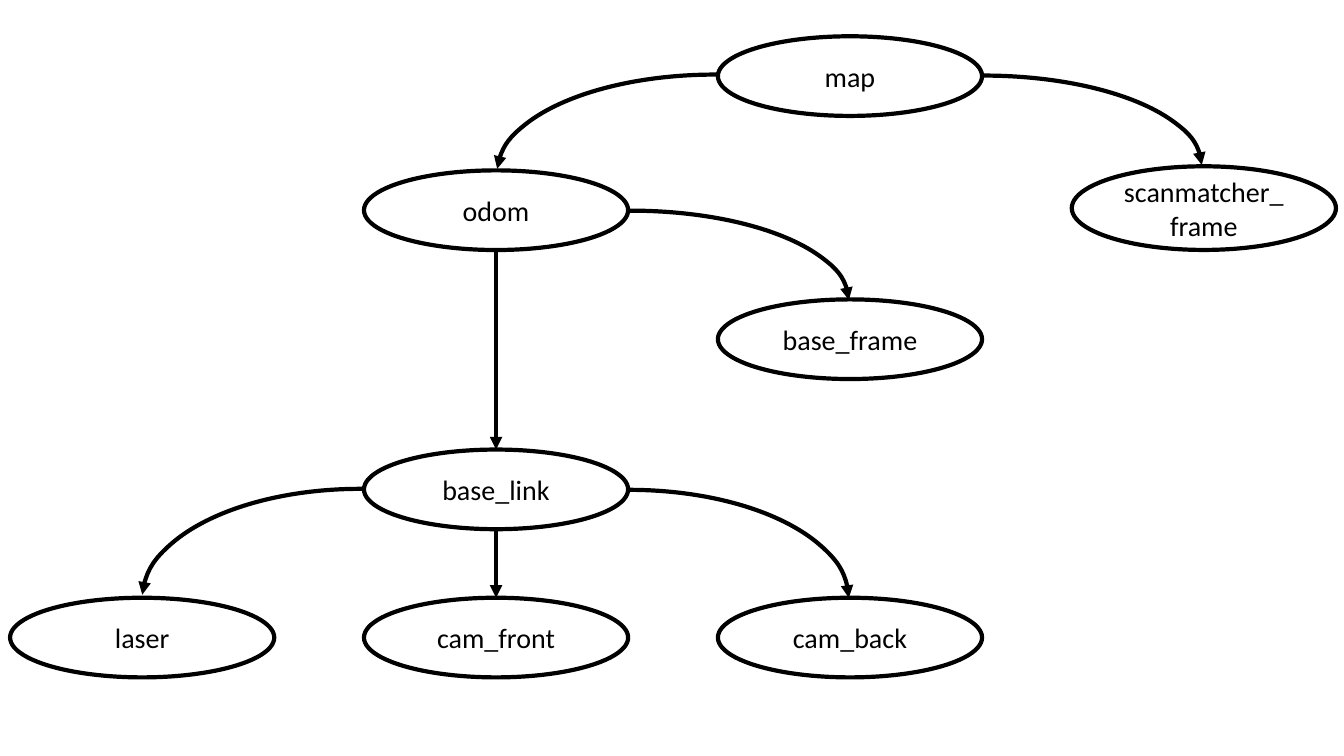
from dataclasses import dataclass

from lxml import etree
from pptx import Presentation
from pptx.dml.color import RGBColor
from pptx.enum.shapes import MSO_CONNECTOR, MSO_SHAPE
from pptx.enum.text import MSO_ANCHOR, PP_ALIGN
from pptx.oxml.ns import qn
from pptx.util import Pt

ELLIPSE = MSO_SHAPE.OVAL
ARC = MSO_SHAPE.ARC
STRAIGHT = MSO_CONNECTOR.STRAIGHT
MIDDLE = MSO_ANCHOR.MIDDLE
CENTER = PP_ALIGN.CENTER

EMU_PER_PX = 9144
SLIDE_SIZE = (1333, 750)
FIRST_COLUMN, COLUMN_STEP = 10, 351
FRAME_WIDTH, FRAME_HEIGHT = 262, 79


@dataclass(frozen=True)
class Theme:
    ink: RGBColor = RGBColor(0, 0, 0)
    font: str = "Calibri"
    label_size: Pt = Pt(20)
    stroke: Pt = Pt(3)


THEME = Theme()

FRAMES = [
    ("map", 2, 36, FRAME_HEIGHT),
    ("scanmatcher_frame", 3, 165, 83),
    ("odom", 1, 169, FRAME_HEIGHT),
    ("base_frame", 2, 297, FRAME_HEIGHT),
    ("base_link", 1, 446, FRAME_HEIGHT),
    ("laser", 0, 593, FRAME_HEIGHT),
    ("cam_front", 1, 593, FRAME_HEIGHT),
    ("cam_back", 2, 593, FRAME_HEIGHT),
]

RIGHT_SWEEP = (161.685, 215.792)
LEFT_SWEEP = (108.643, 162.78)
BRANCHES = [
    ((759, 75, 433, 180), RIGHT_SWEEP, "tailEnd"),
    ((493, 74, 432, 195), LEFT_SWEEP, "headEnd"),
    ((409, 209, 433, 180), RIGHT_SWEEP, "tailEnd"),
    ((141, 485, 432, 218), LEFT_SWEEP, "headEnd"),
    ((406, 486, 436, 217), RIGHT_SWEEP, "tailEnd"),
]

TRUNK_COLUMN = 1
TRUNKS = [(248, 446), (525, 593)]


def px(*lengths):
    return [length * EMU_PER_PX for length in lengths]


def column_left(column):
    return FIRST_COLUMN + COLUMN_STEP * column


def draw_stroke(line):
    line.color.rgb = THEME.ink
    line.width = THEME.stroke


def add_arrowhead(line, end):
    outline = line._get_or_add_ln()
    etree.SubElement(outline, qn(f"a:{end}"), type="triangle")


def add_outline(slide, preset, box):
    outline = slide.shapes.add_shape(preset, *px(*box))
    outline.shadow.inherit = False
    outline.fill.background()
    draw_stroke(outline.line)
    return outline


def add_frame(slide, name, column, top, height):
    box = (column_left(column), top, FRAME_WIDTH, height)
    label = add_outline(slide, ELLIPSE, box).text_frame
    label.word_wrap = True
    label.vertical_anchor = MIDDLE
    label.text = name
    paragraph = label.paragraphs[0]
    paragraph.alignment = CENTER
    font = paragraph.runs[0].font
    font.name = THEME.font
    font.size = THEME.label_size
    font.color.rgb = THEME.ink


def add_branch(slide, box, sweep, arrow_end):
    branch = add_outline(slide, ARC, box)
    branch.adjustments[0], branch.adjustments[1] = sweep
    add_arrowhead(branch.line, arrow_end)


def add_trunk(slide, top, bottom):
    center = column_left(TRUNK_COLUMN) + FRAME_WIDTH // 2
    trunk = slide.shapes.add_connector(STRAIGHT, *px(center, top, center, bottom))
    draw_stroke(trunk.line)
    add_arrowhead(trunk.line, "tailEnd")
    etree.SubElement(trunk._element.spPr, qn("a:effectLst"))


def main():
    presentation = Presentation()
    presentation.slide_width, presentation.slide_height = px(*SLIDE_SIZE)
    slide = presentation.slides.add_slide(presentation.slide_layouts[6])
    for frame in FRAMES:
        add_frame(slide, *frame)
    for branch in BRANCHES:
        add_branch(slide, *branch)
    for trunk in TRUNKS:
        add_trunk(slide, *trunk)
    presentation.save("out.pptx")


if __name__ == "__main__":
    main()
